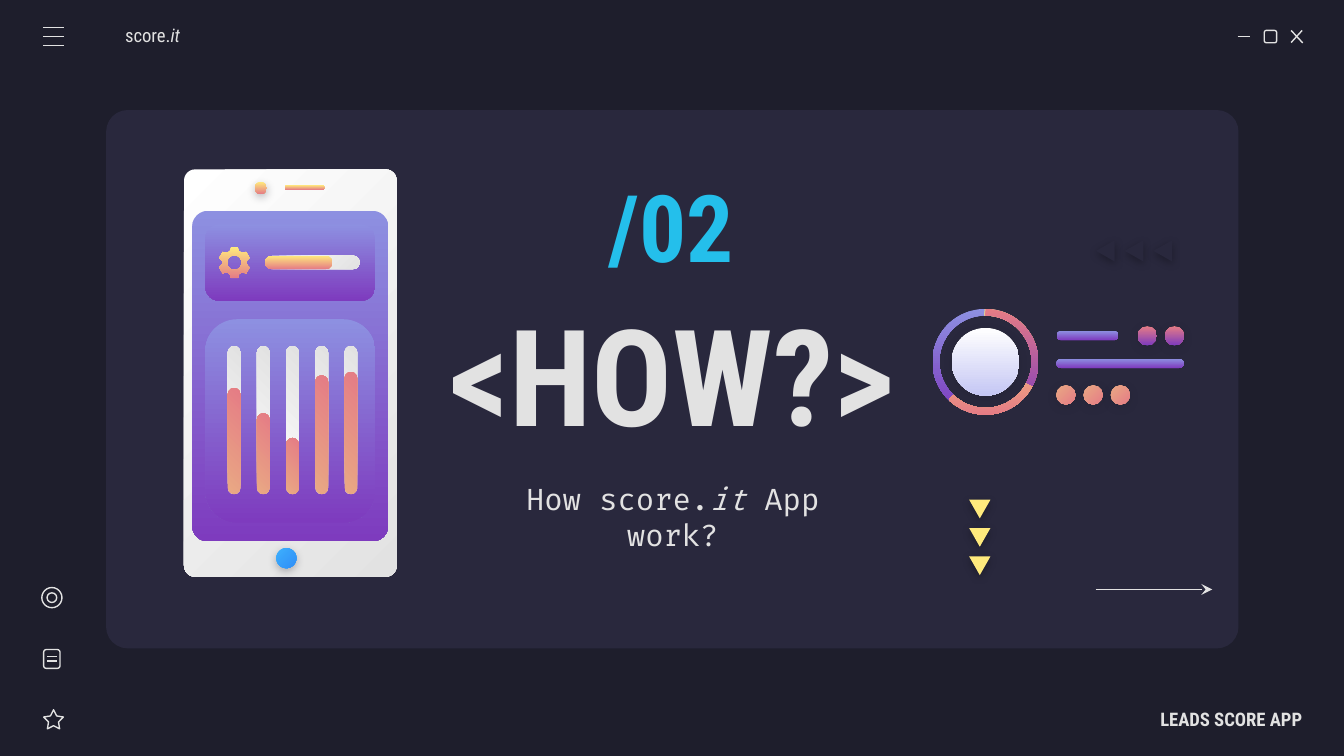
"""Build the section slide of the lead scoring app deck."""
import dataclasses
import math

import lxml.etree
import pptx
import pptx.dml.color
import pptx.enum.shapes
import pptx.enum.text
import pptx.oxml.ns
import pptx.util

Pt = pptx.util.Pt
Kind = pptx.enum.shapes.MSO_SHAPE
Align = pptx.enum.text.PP_ALIGN
qn = pptx.oxml.ns.qn


@dataclasses.dataclass(frozen=True)
class Theme:
    """Colours, gradients (start, end, clockwise angle), fonts and sizes."""
    night: str = "1E1E2C"
    card: str = "29283D"
    light: str = "E2E2E2"
    cyan: str = "24BFEB"
    yellow: str = "FFEA7D"
    black: str = "000000"
    violet: tuple = ("8D90E1", "7E3BBE", 90)
    silver: tuple = ("FFFFFF", "E2E2E2", 45)
    sunset: tuple = ("FFEA7D", "E57C85", 90)
    peach: tuple = ("E9A984", "E57C85", 45)
    dusk: tuple = ("E57C85", "7E3BBE", 90)
    sky: tuple = ("3DB0FD", "308EF7", 45)
    pearl: tuple = ("FFFFFF", "C5C7F4", 90)
    heading: str = "Roboto Condensed"
    mono: str = "Fira Code"
    huge: int = 72
    large: int = 50
    medium: int = 16
    small: int = 10
    hairline: float = 0.75


THEME = Theme()


def rgb(value):
    """Return a colour object for a hex string."""
    return pptx.dml.color.RGBColor.from_string(value)


def apply(target, values):
    """Set every attribute named in values."""
    for name, value in values.items():
        setattr(target, name, value)


def paint_fill(fill, paint):
    """Fill with a solid colour, a two-stop gradient or nothing."""
    if paint is None:
        fill.background()
    elif isinstance(paint, str):
        fill.solid()
        fill.fore_color.rgb = rgb(paint)
    else:
        fill.gradient()
        fill.gradient_angle = 360 - paint[2]
        for stop, colour in zip(fill.gradient_stops, paint):
            stop.color.rgb = rgb(colour)


def add_shadow(shape, colour):
    """Give a shape a soft shadow below it."""
    effects = shape.element.spPr.find(qn("a:effectLst"))
    values = {"blurRad": Pt(4.5), "dist": Pt(1.5), "dir": 5400000, "algn": "bl", "rotWithShape": 0}
    outer = lxml.etree.SubElement(effects, qn("a:outerShdw"), {k: str(v) for k, v in values.items()})
    tint = lxml.etree.SubElement(outer, qn("a:srgbClr"), val=colour)
    lxml.etree.SubElement(tint, qn("a:alpha"), val="30000")


def style_shape(shape, paint, shadow=None):
    """Set fill and shadow; an unfilled shape gets a hairline."""
    shape.shadow.inherit = False
    paint_fill(shape.fill, paint)
    if paint is None:
        shape.line.color.rgb = rgb(THEME.light)
        shape.line.width = Pt(THEME.hairline)
    else:
        shape.line.fill.background()
    if shadow:
        add_shadow(shape, shadow)


def add_figure(page, kind, at, paint=None, adjust=(), shadow=None, rotation=0):
    """Add a preset shape at left, top, width, height."""
    shape = page.shapes.add_shape(kind, *map(Pt, at))
    for index, value in enumerate(adjust):
        shape.adjustments[index] = value
    shape.rotation = rotation
    style_shape(shape, paint, shadow)


def add_pill(page, at, paint, rotation=0):
    """Add a bar with fully round ends."""
    add_figure(page, Kind.ROUNDED_RECTANGLE, at, paint, (0.5,), rotation=rotation)


def add_disc(page, x, y, size, paint):
    """Add a shaded circle around a centre."""
    at = (x - size / 2, y - size / 2, size, size)
    add_figure(page, Kind.OVAL, at, paint, shadow=THEME.night)


def add_rule(page, x1, y1, x2, y2, arrow=False):
    """Add a hairline, with an arrowhead if asked."""
    rule = page.shapes.add_connector(pptx.enum.shapes.MSO_CONNECTOR.STRAIGHT, *map(Pt, (x1, y1, x2, y2)))
    rule.line.color.rgb = rgb(THEME.light)
    rule.line.width = Pt(THEME.hairline)
    if arrow:
        lxml.etree.SubElement(rule.line._get_or_add_ln(), qn("a:tailEnd"), type="stealth")
    lxml.etree.SubElement(rule.element.spPr, qn("a:effectLst"))


def write_text(box, at, spans, size, colour=THEME.light, font=THEME.heading,
               bold=False, align=Align.CENTER, insets=(7.2, 7.2)):
    """Place a text holder and write its (text, italic) spans."""
    apply(box, dict(zip(("left", "top", "width", "height"), map(Pt, at))))
    apply(box.text_frame, {
        "word_wrap": True, "auto_size": pptx.enum.text.MSO_AUTO_SIZE.NONE,
        "vertical_anchor": pptx.enum.text.MSO_ANCHOR.MIDDLE,
        "margin_left": Pt(insets[0]), "margin_right": Pt(insets[1]),
        "margin_top": Pt(7.2), "margin_bottom": Pt(7.2)})
    para = box.text_frame.paragraphs[0]
    para.alignment = align
    for text, italic in spans:
        span = para.add_run()
        span.text = text
        apply(span.font, {"name": font, "size": Pt(size), "bold": bold, "italic": italic})
        span.font.color.rgb = rgb(colour)


def add_text(page, at, spans, size, **style):
    """Add a text box."""
    write_text(page.shapes.add_textbox(0, 0, 0, 0), at, spans, size, **style)


def add_gear(page, x, y):
    """Add a six-toothed gear with a round hole."""
    def ring(points):
        return [(Pt(x + r * math.cos(math.radians(a))), Pt(y + r * math.sin(math.radians(a))))
                for a, r in points]
    teeth = ring([(60 * tooth - 90 + turn, radius) for tooth in range(6)
                  for turn, radius in ((-22, 6.6), (-12.5, 8.5), (12.5, 8.5), (22, 6.6))])
    hole = ring([(-15 * step, 3.9) for step in range(24)])
    outline = page.shapes.build_freeform(*teeth[0])
    outline.add_line_segments(teeth[1:])
    outline.move_to(*hole[0])
    outline.add_line_segments(hole[1:])
    style_shape(outline.convert_to_shape(), THEME.sunset)


def add_window_icons(page):
    """Draw the menu, window buttons and side icons."""
    for y in (14.75, 19.5, 24.25):
        add_rule(page, 23.3, y, 34.3, y)
    add_rule(page, 663.1, 19.6, 669.6, 19.6)
    add_figure(page, Kind.ROUNDED_RECTANGLE, (677.3, 16.3, 6.6, 6.6), adjust=(0.167,))
    add_rule(page, 691.7, 16.3, 697.9, 23)
    add_rule(page, 697.6, 16.3, 691.7, 22.8)
    for at in ((22.4, 314.8, 10.8, 10.8), (25.2, 317.6, 5.2, 5.2)):
        add_figure(page, Kind.OVAL, at)
    add_figure(page, Kind.ROUNDED_RECTANGLE, (23.4, 348, 8.8, 10.1), adjust=(0.167,))
    for y in (351.6, 354.2):
        add_rule(page, 25.1, y, 30.5, y)
    add_figure(page, Kind.STAR_5_POINT, (23.4, 380.2, 10.6, 10.3), adjust=(0.254,))


def add_phone(page):
    """Draw the phone with its settings and level bars."""
    for at, paint, corner in (
            ((98.6, 90.7, 114, 218.3), THEME.silver, 0.053),
            ((103, 113, 105, 177), THEME.violet, 0.079),
            ((110, 120.2, 91, 41), THEME.violet, 0.187),
            ((110, 171, 91, 109), THEME.violet, 0.187)):
        add_figure(page, Kind.ROUNDED_RECTANGLE, at, paint, (corner,))
    add_gear(page, 125.6, 140.7)
    add_pill(page, (142, 136.9, 50.7, 7.3), THEME.silver)
    add_pill(page, (142, 136.9, 36, 7.3), THEME.sunset)
    for index, level in enumerate((56.9, 43.4, 30.2, 63.7, 65.5)):
        for length, paint in ((79.4, THEME.silver), (level, THEME.peach)):
            left = 125.4 + 15.65 * index - length / 2
            add_pill(page, (left, 261.4 - length / 2, length, 6.8), paint, 270)
    add_disc(page, 139.7, 100.7, 6.5, THEME.sunset)
    add_disc(page, 153.4, 299, 10.8, THEME.sky)
    add_pill(page, (152.5, 99.2, 21.6, 2.5), THEME.sunset)


def add_dashboard(page):
    """Draw the pointers, ring, bars and dots at the right."""
    for step in range(3):
        for at, paint, turn in (((519.2, 267.7 + 15.2 * step, 11.4, 10), THEME.yellow, 180),
                                ((586.4 + 15.4 * step, 129.4, 11.4, 10), THEME.card, 270)):
            add_figure(page, Kind.ISOSCELES_TRIANGLE, at, paint, (0.5,), THEME.black, turn)
        add_disc(page, 571 + 14.6 * step, 211.6, 10.3, THEME.peach)
    for start, end, paint in ((165.4, 164.2, THEME.violet), (269, 134, THEME.sunset), (270, 27, THEME.dusk)):
        add_figure(page, Kind.BLOCK_ARC, (499.6, 165.5, 56.7, 56.7), paint, (start * 0.6, end * 0.6, 0.064))
    add_disc(page, 528, 193.8, 36.3, THEME.pearl)
    for top, width in ((177.3, 33.3), (192.2, 68.2)):
        add_pill(page, (566, top, width, 5), THEME.violet)
    for x in (614.6, 629.2):
        add_disc(page, x, 179.9, 10.3, THEME.dusk)
    add_rule(page, 587, 315.8, 649.5, 315.8, arrow=True)


def main():
    """Build and save the deck."""
    deck = pptx.Presentation()
    apply(deck, {"slide_width": Pt(720), "slide_height": Pt(405)})
    page = deck.slides.add_slide(deck.slide_layouts[5])
    paint_fill(page.background.fill, THEME.night)
    add_figure(page, Kind.ROUNDED_RECTANGLE, (56.9, 59, 606.6, 288.4), THEME.card, (0.04,))
    title = page.shapes.title
    title.element.getparent().append(title.element)
    write_text(title, (231, 162.7, 258, 74.2), [("<HOW?>", False)], THEME.huge, bold=True)
    add_text(page, (297.4, 89.3, 124.6, 62.6), [("/02", False)], THEME.large, colour=THEME.cyan, bold=True)
    add_text(page, (257.8, 245.5, 205.2, 62.6), [("How score.", False), ("it", True), (" App work?", False)],
             THEME.medium, font=THEME.mono)
    add_window_icons(page)
    add_phone(page)
    add_dashboard(page)
    add_text(page, (67, 8, 84.2, 21.6), [("score.", False), ("it", True)], THEME.small,
             align=Align.LEFT, insets=(0, 7.2))
    add_text(page, (613.4, 374.4, 84.2, 21.6), [("LEADS SCORE APP", False)], THEME.small,
             bold=True, align=Align.RIGHT, insets=(7.2, 0))
    deck.save("out.pptx")


if __name__ == "__main__":
    main()
